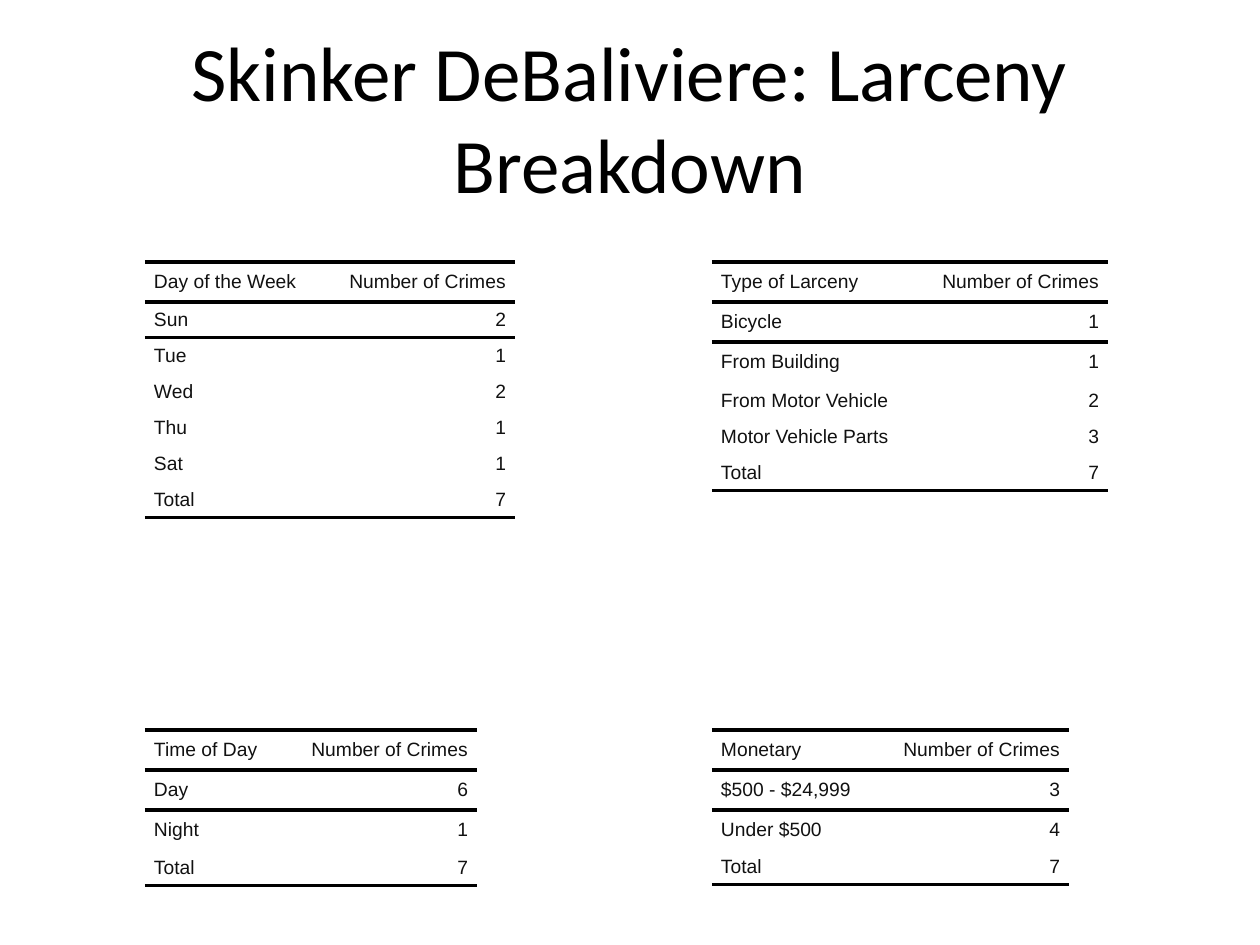
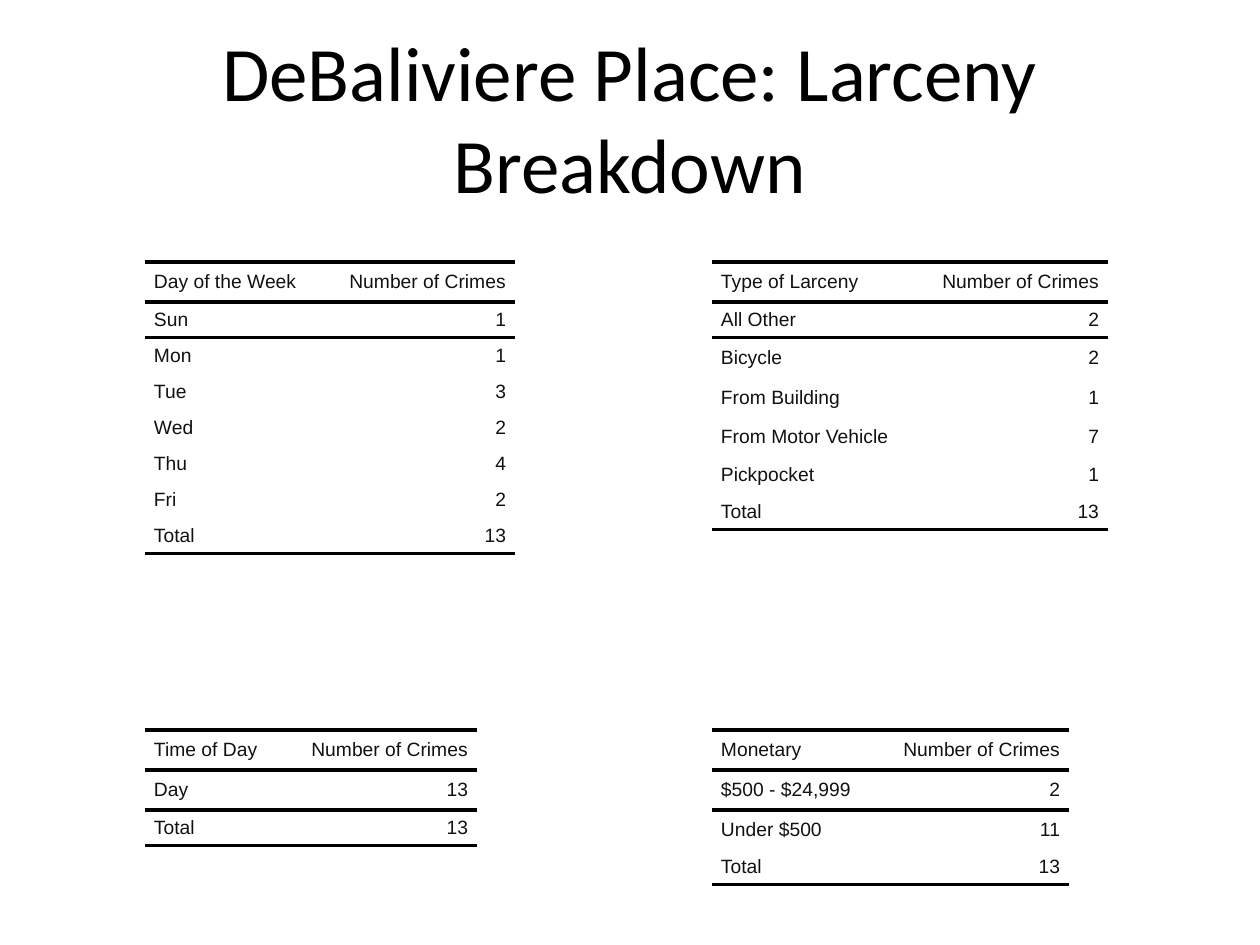
"""Build two slides of larceny counts, each with a title and four tables."""
from dataclasses import dataclass

from lxml.etree import SubElement
from pptx import Presentation
from pptx.dml.color import RGBColor
from pptx.enum.text import MSO_ANCHOR, MSO_AUTO_SIZE, PP_ALIGN
from pptx.oxml.ns import qn
from pptx.slide import Slide
from pptx.table import _Cell as Cell
from pptx.text.text import TextFrame
from pptx.util import Emu, Pt

DPI = 126
BLACK, INK = "000000", "111111"
LEFTS, TOPS = (145, 712), (262, 730)
COUNT_W, HEAD_H, ROW_H, PAD = 192, 40, 36, 9
TALL = {"Bicycle": 40, "From Building": 40, "From Motor Vehicle": 37,
        "Pickpocket": 39, "Day": 40, "Night": 40,
        "$500 - $24,999": 40, "Under $500": 39}
PLAIN = "{2D5ABB26-0587-4C30-8999-92F81FD0307C}"


@dataclass
class Panel:
    head: str
    width: int
    col: int
    row: int


@dataclass
class Page:
    title: str
    counts: list[dict[str, int]]


PANELS = [
    Panel("Day of the Week", 178, 0, 0),
    Panel("Time of Day", 140, 0, 1),
    Panel("Type of Larceny", 204, 1, 0),
    Panel("Monetary", 165, 1, 1),
]
PAGES = [
    Page("Skinker DeBaliviere: Larceny Breakdown", [
        {"Sun": 2, "Tue": 1, "Wed": 2, "Thu": 1, "Sat": 1},
        {"Day": 6, "Night": 1},
        {"Bicycle": 1, "From Building": 1, "From Motor Vehicle": 2,
         "Motor Vehicle Parts": 3},
        {"$500 - $24,999": 3, "Under $500": 4},
    ]),
    Page("DeBaliviere Place: Larceny Breakdown", [
        {"Sun": 1, "Mon": 1, "Tue": 3, "Wed": 2, "Thu": 4, "Fri": 2},
        {"Day": 13},
        {"All Other": 2, "Bicycle": 2, "From Building": 1,
         "From Motor Vehicle": 7, "Pickpocket": 1},
        {"$500 - $24,999": 2, "Under $500": 11},
    ]),
]


def px(size: int) -> Emu:
    return Emu(round(size * 914400 / DPI))


def tint(code: str) -> RGBColor:
    return RGBColor.from_string(code)


def write(frame: TextFrame, text: str, *, size: int = 11, font: str = "Arial",
          color: str = INK, align: PP_ALIGN = PP_ALIGN.LEFT, pad: int = 0) -> None:
    frame.text = text
    para = frame.paragraphs[0]
    para.alignment = align
    props = para._p.get_or_add_pPr()
    for side in ("marL", "marR"):
        props.set(side, str(px(pad)))
    style = para.runs[0].font
    style.size, style.name = Pt(size), font
    style.color.rgb = tint(color)


def rule(cell: Cell, *sides: str) -> None:
    props = cell._tc.get_or_add_tcPr()
    for side in sides:
        line = SubElement(props, qn(f"a:ln{side}"), w=str(Pt(2)))
        fill = SubElement(line, qn("a:solidFill"))
        SubElement(fill, qn("a:srgbClr"), val=BLACK)


def draw_cell(cell: Cell, text: str, align: PP_ALIGN, sides: str) -> None:
    cell.margin_left = cell.margin_right = cell.margin_top = cell.margin_bottom = 0
    cell.vertical_anchor = MSO_ANCHOR.MIDDLE
    rule(cell, *sides)
    cell.fill.background()
    write(cell.text_frame, text, align=align, pad=PAD)


def draw_table(slide: Slide, panel: Panel, counts: dict[str, int]) -> None:
    rows = [(panel.head, "Number of Crimes"), *counts.items(),
            ("Total", sum(counts.values()))]
    highs = [HEAD_H] + [TALL.get(label, ROW_H) for label, _ in rows[1:]]
    frame = slide.shapes.add_table(
        len(rows), 2, px(LEFTS[panel.col]), px(TOPS[panel.row]),
        px(panel.width + COUNT_W), px(sum(highs)))
    frame.element.find(".//" + qn("a:tableStyleId")).text = PLAIN
    table = frame.table
    table.first_row = table.horz_banding = False
    for col, width in zip(table.columns, (panel.width, COUNT_W)):
        col.width = px(width)
    borders = ["TB"] + ["T"] + [""] * (len(rows) - 3) + ["B"]
    if len(rows) == 2:
        borders = ["TB", "TB"]
    for i, (row, high, sides) in enumerate(zip(rows, highs, borders)):
        table.rows[i].height = px(high)
        for j, align in enumerate((PP_ALIGN.LEFT, PP_ALIGN.RIGHT)):
            draw_cell(table.cell(i, j), str(row[j]), align, sides)


def draw_title(slide: Slide, text: str) -> None:
    title = slide.shapes.title
    title.left, title.top, title.width, title.height = map(px, (63, 38, 1134, 158))
    frame = title.text_frame
    frame.auto_size = MSO_AUTO_SIZE.NONE
    frame.vertical_anchor = MSO_ANCHOR.MIDDLE
    write(frame, text, size=44, font="Calibri", color=BLACK, align=PP_ALIGN.CENTER)


def main() -> None:
    deck = Presentation()
    deck.slide_width, deck.slide_height = px(1260), px(945)
    for page in PAGES:
        slide = deck.slides.add_slide(deck.slide_layouts[5])
        draw_title(slide, page.title)
        for panel, counts in zip(PANELS, page.counts):
            draw_table(slide, panel, counts)
    deck.save("out.pptx")


if __name__ == "__main__":
    main()
